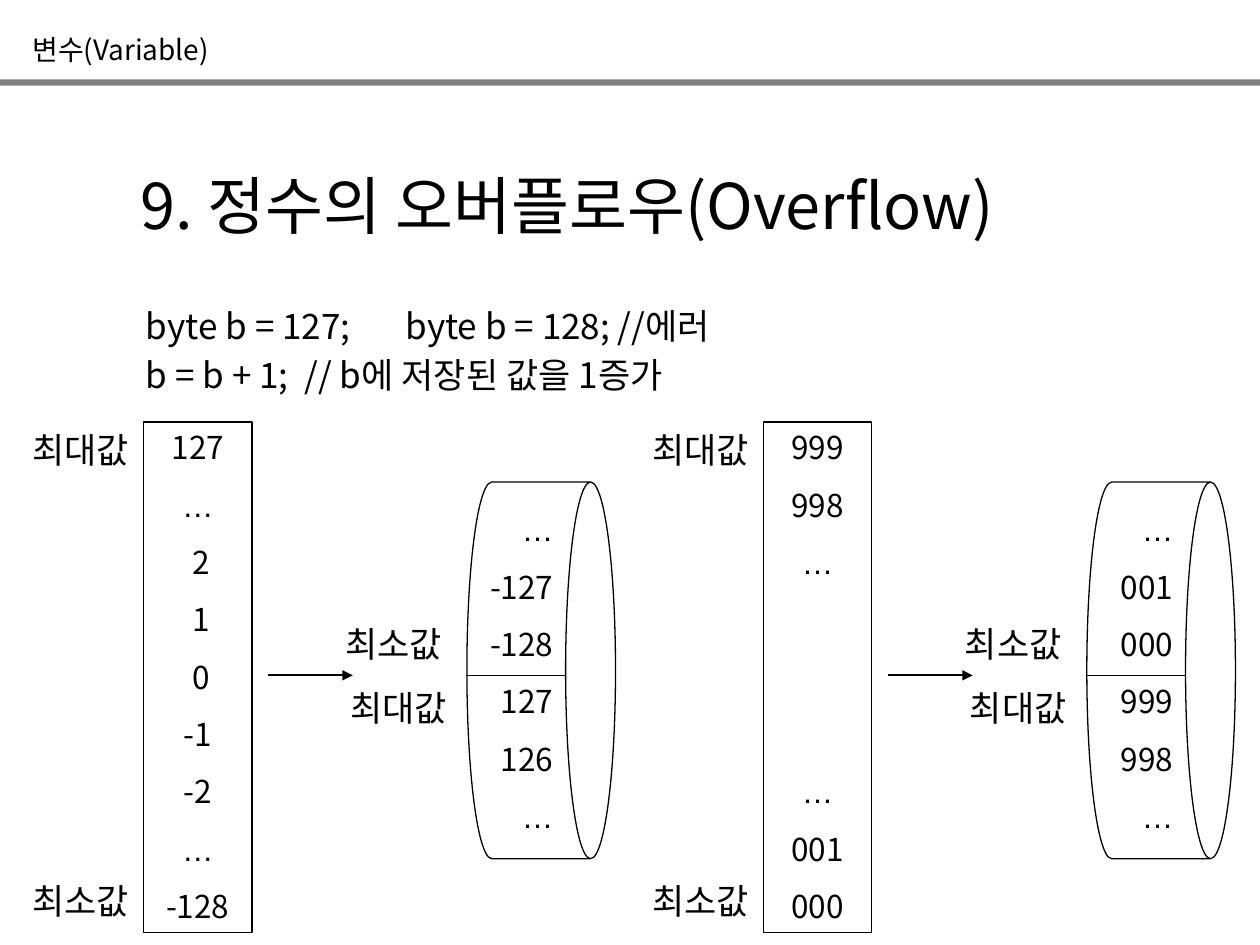
from pptx import Presentation
from pptx import util as u
from pptx.dml.color import RGBColor
from pptx.enum import shapes, text
from pptx.oxml.ns import qn
from lxml import etree

FONT = "Noto Sans CJK KR"
LEFT, MID, RIGHT = text.PP_ALIGN.LEFT, text.PP_ALIGN.CENTER, text.PP_ALIGN.RIGHT
BLACK = "000000"


def color(code):
    return RGBColor.from_string(code)


def write(shape, rows, size, align=LEFT, gaps=None):
    """Fill a shape with one paragraph per row; gaps maps a row to its rows of space above."""
    frame = shape.text_frame
    look = {"word_wrap": True, "vertical_anchor": text.MSO_ANCHOR.TOP,
            "auto_size": text.MSO_AUTO_SIZE.SHAPE_TO_FIT_TEXT}
    for key, value in look.items():
        setattr(frame, key, value)
    step, lead = size * 0.62, size * 1.2
    for i, row in enumerate(rows):
        para = frame.paragraphs[0] if i == 0 else frame.add_paragraph()
        skip = (gaps or {}).get(i, 0)
        space = step + skip * (step + lead) if i else 0
        form = {"alignment": align, "line_spacing": u.Pt(lead), "space_before": u.Pt(space)}
        for key, value in form.items():
            setattr(para, key, value)
        run = para.add_run()
        run.text = row
        face = "Arial" if row == "…" else FONT
        for key, value in {"name": face, "size": u.Pt(size)}.items():
            setattr(run.font, key, value)
        run.font.color.rgb = color(BLACK)
        etree.SubElement(run.font._element, qn("a:ea")).set("typeface", face)


deck = Presentation()
deck.slide_width, deck.slide_height = u.Inches(10), u.Inches(7.5)
slide = deck.slides.add_slide(deck.slide_layouts[6])
items = slide.shapes

# Header rule
bar = items.add_shape(shapes.MSO_SHAPE.RECTANGLE, 0, u.Inches(0.63), u.Inches(10), u.Inches(0.05))
bar.shadow.inherit = False
bar.fill.solid()
bar.fill.fore_color.rgb = color("7F7F7F")
bar.line.fill.background()

# Each half: left edge, column rows, gaps in the column, drum rows
halves = [
    (0, ["127", "…", " 2", " 1", " 0", "-1", "-2", "…", "-128"], {},
     ["…", "-127", "-128", "127", "126", "…"]),
    (4.92, ["999", "998", "…", "…", "001", "000"], {3: 3},
     ["…", "001", "000", "999", "998", "…"]),
]
labels = [(0.16, 3.35, "최대값"), (0.16, 6.93, "최소값"),
          (2.68, 5.4, "최대값"), (2.64, 4.89, "최소값")]

# Header, title, code and the labels: left, top, width, height, size, words
notes = [
    (0.16, 0.21, 3.19, 0.37, 16, "변수(Variable)"),
    (1.02, 1.27, 8.23, 0.7, 36, "9. 정수의 오버플로우(Overflow)"),
    (1.06, 2.37, 6.18, 0.44, 20, "byte b = 127;\tbyte b = 128; //에러"),
    (1.06, 2.76, 6.1, 0.44, 20, "b = b + 1;  // b에 저장된 값을 1증가"),
]

for x, column, gaps, drum in halves:
    notes += [(x + left, top, 1.1, 0.44, 20, word) for left, top, word in labels]

    box = items.add_shape(shapes.MSO_SHAPE.RECTANGLE, u.Inches(x + 1.14), u.Inches(3.35),
                          u.Inches(0.86), u.Inches(4.05))
    can = items.add_shape(shapes.MSO_SHAPE.CAN, u.Inches(x + 2.8), u.Inches(4.73),
                          u.Inches(2.99), u.Inches(1.18))
    can.rotation = 90
    can.adjustments[0] = 0.336
    for shape in (box, can):
        shape.shadow.inherit = False
        shape.fill.background()
        shape.line.color.rgb = color(BLACK)
        shape.line.width = u.Pt(0.75)
    write(box, column, 18, MID, gaps)

    area = items.add_textbox(u.Inches(x + 3.47), u.Inches(4), u.Inches(1.02), u.Inches(2.68))
    write(area, drum, 18, RIGHT)

    for start, end, width, arrow in ((3.7, 4.49, 0.75, False), (2.13, 2.8, 1, True)):
        line = items.add_connector(shapes.MSO_CONNECTOR.STRAIGHT, u.Inches(x + start),
                                   u.Inches(5.36), u.Inches(x + end), u.Inches(5.36))
        line.line.color.rgb = color(BLACK)
        line.line.width = u.Pt(width)
        if arrow:
            etree.SubElement(line.line._get_or_add_ln(), qn("a:tailEnd")).set("type", "triangle")
        etree.SubElement(line._element.spPr, qn("a:effectLst"))

for left, top, width, height, size, words in notes:
    area = items.add_textbox(u.Inches(left), u.Inches(top), u.Inches(width), u.Inches(height))
    if "\t" in words:
        props = area.text_frame.paragraphs[0]._p.get_or_add_pPr()
        stops = etree.SubElement(props, qn("a:tabLst"))
        stop = etree.SubElement(stops, qn("a:tab"))
        stop.set("pos", str(u.Inches(2.06)))
        stop.set("algn", "l")
    write(area, [words], size)

deck.save("out.pptx")
